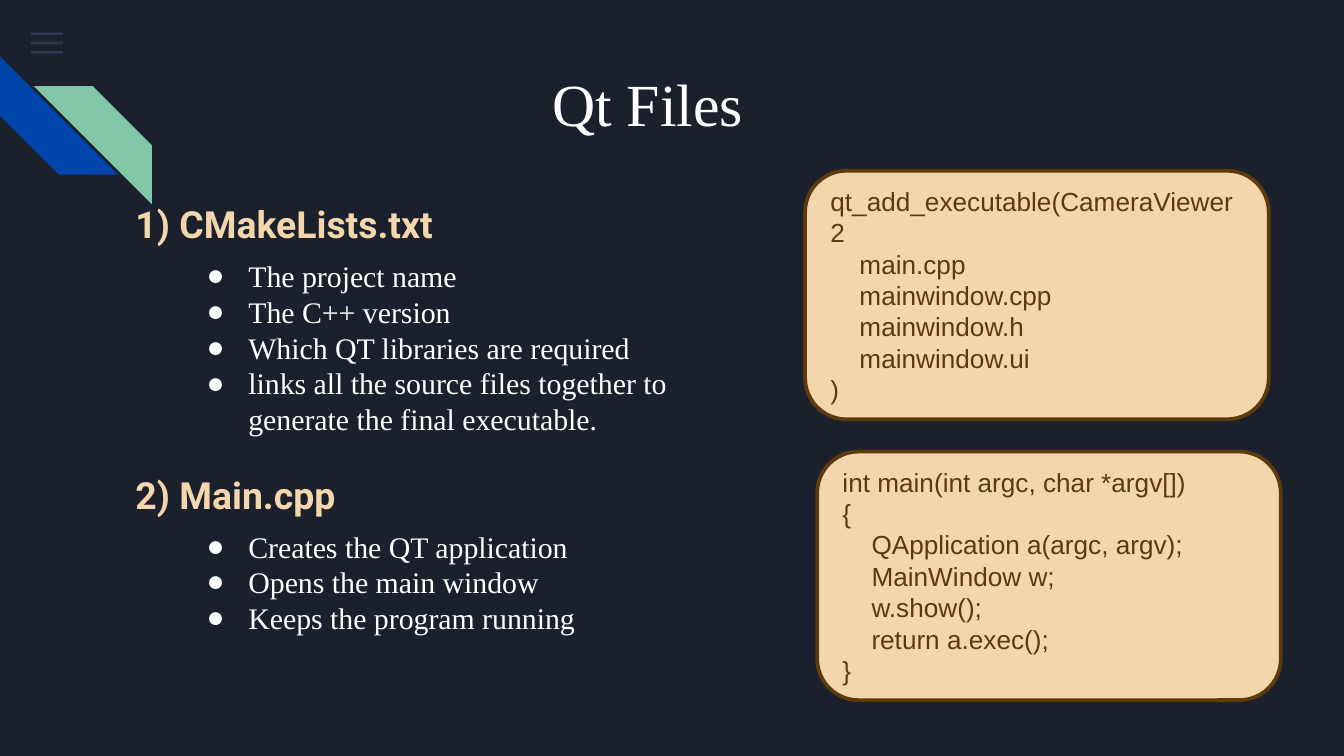
from lxml import etree
from pptx import Presentation
from pptx import util as u
from pptx.dml.color import RGBColor
from pptx.enum import shapes, text
from pptx.oxml.ns import qn

Inches = u.Inches
WHITE, SAND, BROWN = "FFFFFF", "F4D6AD", "5C3A0C"
SERIF = "Times New Roman"

SECTIONS = [
    ("1) CMakeLists.txt", [
        "The project name",
        "The C++ version",
        "Which QT libraries are required",
        "links all the source files together to generate the final executable.",
    ]),
    ("2) Main.cpp", [
        "Creates the QT application",
        "Opens the main window",
        "Keeps the program running",
    ]),
]

MAIN_CODE = """int main(int argc, char *argv[])
{
    QApplication a(argc, argv);
    MainWindow w;
    w.show();
    return a.exec();
}"""

CMAKE_CODE = """qt_add_executable(CameraViewer2
    main.cpp
    mainwindow.cpp
    mainwindow.h
    mainwindow.ui
)"""


def rgb(value):
    return RGBColor.from_string(value)


def setup_frame(tf, anchor=text.MSO_ANCHOR.TOP, inset=0.1):
    tf.word_wrap = True
    tf.auto_size = text.MSO_AUTO_SIZE.NONE
    tf.vertical_anchor = anchor
    tf.margin_left = tf.margin_right = Inches(0.1)
    tf.margin_top = tf.margin_bottom = Inches(inset)


def write(tf, words, first=False, size=16, font=SERIF, color=WHITE, bold=False,
          margin=0, indent=0, bullet=None, before=0, after=0):
    p = tf.paragraphs[0] if first else tf.add_paragraph()
    p.alignment = text.PP_ALIGN.LEFT
    p.line_spacing = 1.0
    p.space_before, p.space_after = u.Pt(before), u.Pt(after)
    pPr = p._p.get_or_add_pPr()
    pPr.set("marL", str(Inches(margin)))
    pPr.set("indent", str(Inches(indent)))
    if bullet:
        clr = etree.SubElement(pPr, qn("a:buClr"))
        etree.SubElement(clr, qn("a:srgbClr"), val=color)
        etree.SubElement(pPr, qn("a:buFont"), typeface=font)
        etree.SubElement(pPr, qn("a:buChar"), char=bullet)
    else:
        etree.SubElement(pPr, qn("a:buNone"))
    r = p.add_run()
    r.text = words
    r.font.size, r.font.name, r.font.bold = u.Pt(size), font, bold
    r.font.color.rgb = rgb(color)


def add_block(parent, kind, at, fill, line=None, alpha=None):
    sp = parent.add_shape(kind, *map(Inches, at))
    sp.shadow.inherit = False
    sp.fill.solid()
    sp.fill.fore_color.rgb = rgb(fill)
    if alpha is not None:
        clr = sp._element.spPr.find(".//" + qn("a:srgbClr"))
        etree.SubElement(clr, qn("a:alpha"), val=str(alpha * 1000))
    if line:
        sp.line.color.rgb = rgb(line)
        sp.line.width = u.Pt(2)
    else:
        sp.line.fill.background()
    return sp


def add_decoration(s):
    # Menu icon
    for i in range(3):
        add_block(s.shapes, shapes.MSO_SHAPE.RECTANGLE,
                  (0.23, 0.24 + 0.07 * i, 0.24, 0.02), "55688B", alpha=36)
    # Diagonal stripes
    group = s.shapes.add_group_shape()
    for x, y, turn, color in [(0, 0.42, 270, "0145AC"), (0.25, 0.64, 90, "82C7A5")]:
        sp = add_block(group.shapes, shapes.MSO_SHAPE.DIAGONAL_STRIPE,
                       (x, y, 0.88, 0.88), color)
        sp.rotation = turn


def add_title(s, words):
    sp = s.shapes.title
    sp.left, sp.top, sp.width, sp.height = map(Inches, (4.01, 0.4, 1.99, 1))
    setup_frame(sp.text_frame)
    write(sp.text_frame, words, first=True, size=32)


def add_sections(s):
    tf = s.shapes.add_textbox(*map(Inches, (0.75, 1.4, 4.84, 3.63))).text_frame
    setup_frame(tf)
    for i, (heading, items) in enumerate(SECTIONS):
        write(tf, heading, first=i == 0, size=20, font="Roboto", color=SAND,
              bold=True, margin=0.16, before=19 if i else 0, after=6)
        for item in items:
            write(tf, item, margin=1, indent=-0.31, bullet="●")


def add_code(s, x, y, code):
    sp = add_block(s.shapes, shapes.MSO_SHAPE.ROUNDED_RECTANGLE,
                   (x, y, 3.45, 1.85), SAND, line=BROWN)
    setup_frame(sp.text_frame, text.MSO_ANCHOR.MIDDLE, inset=0.05)
    for i, row in enumerate(code.splitlines()):
        write(sp.text_frame, row, first=i == 0, size=14, font="Arial", color=BROWN)


def main():
    prs = Presentation()
    prs.slide_width, prs.slide_height = Inches(10), Inches(5.625)
    s = prs.slides.add_slide(prs.slide_layouts[5])
    s.background.fill.solid()
    s.background.fill.fore_color.rgb = rgb("1B212C")
    add_decoration(s)
    add_title(s, "Qt Files")
    add_sections(s)
    add_code(s, 6.08, 3.36, MAIN_CODE)
    add_code(s, 5.99, 1.27, CMAKE_CODE)
    prs.save("out.pptx")


if __name__ == "__main__":
    main()
